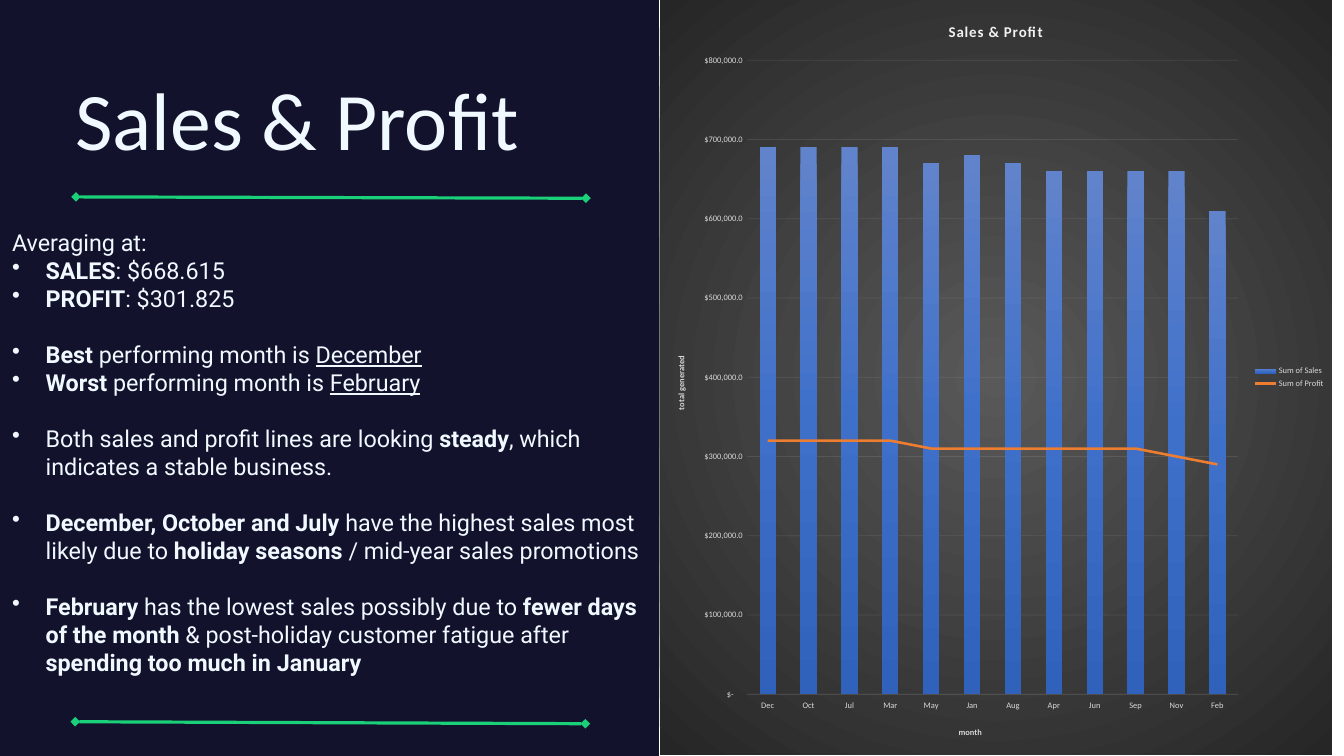
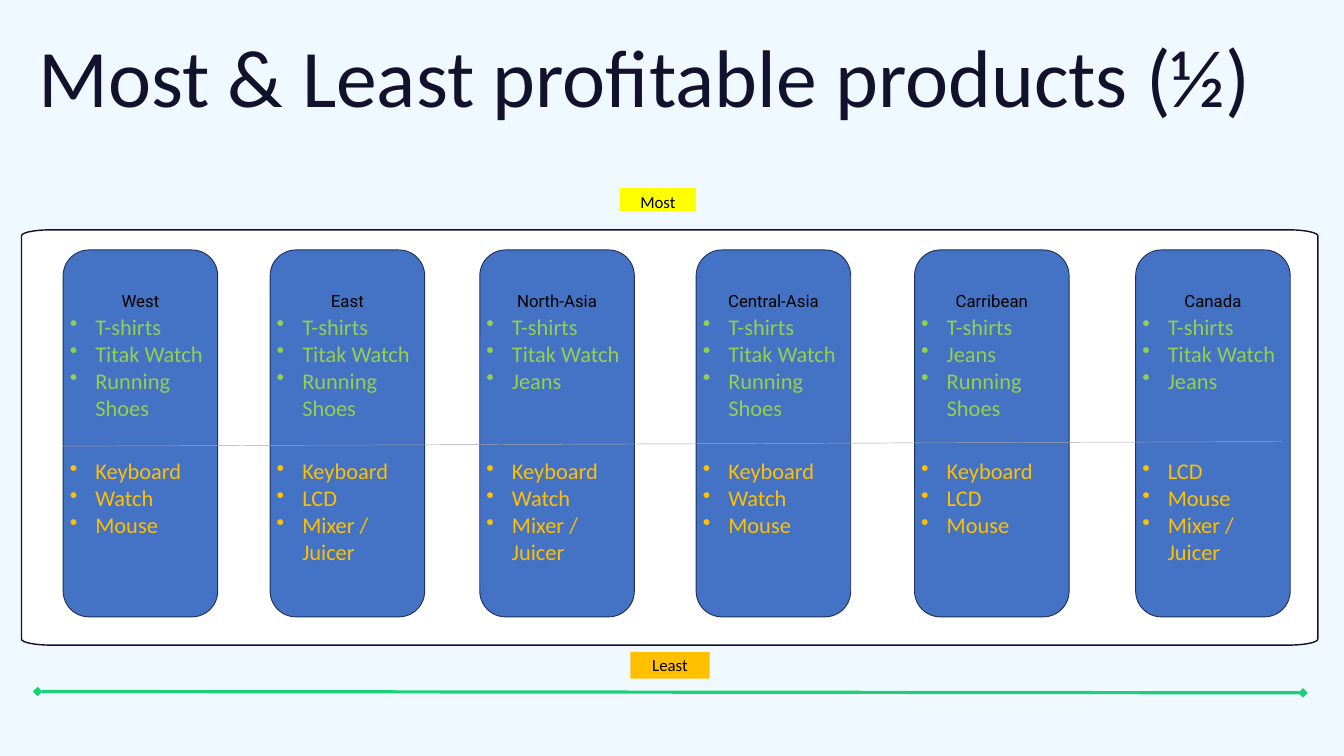
import math

from lxml import etree
from pptx import Presentation
from pptx.chart.data import CategoryChartData
from pptx.dml.color import RGBColor
from pptx.enum.chart import XL_CHART_TYPE, XL_LEGEND_POSITION, XL_MARKER_STYLE, XL_TICK_LABEL_POSITION, XL_TICK_MARK
from pptx.enum.shapes import MSO_CONNECTOR, MSO_SHAPE
from pptx.enum.text import MSO_ANCHOR, PP_ALIGN
from pptx.oxml import parse_xml
from pptx.oxml.ns import nsdecls, qn
from pptx.util import Pt

COLUMN = XL_CHART_TYPE.COLUMN_CLUSTERED
LEGEND_RIGHT = XL_LEGEND_POSITION.RIGHT
NO_MARKER = XL_MARKER_STYLE.NONE
LABELS_LOW = XL_TICK_LABEL_POSITION.LOW
NO_TICK = XL_TICK_MARK.NONE
STRAIGHT = MSO_CONNECTOR.STRAIGHT
RECT = MSO_SHAPE.RECTANGLE
ROUNDED = MSO_SHAPE.ROUNDED_RECTANGLE
TOP = MSO_ANCHOR.TOP
LEFT, CENTER = PP_ALIGN.LEFT, PP_ALIGN.CENTER

PX = 9144
COLORS = {
    "navy": "13122D", "ice": "F0F9FF", "green": "1AD079", "white": "FFFFFF", "black": "000000",
    "card": "4472C4", "card_edge": "1E3256", "divider": "A5A5A5",
    "most": "92D050", "least": "FFC000", "yellow": "FFFF00",
    "axis_text": "D9D9D9", "grid": "F2F2F2", "profit": "ED7D31",
    "chart_center": "595959", "chart_edge": "262626",
    "bar_top": "6183CB", "bar_middle": "3E70CA", "bar_bottom": "3062BB",
}
DOLLARS = '_-"$"* #,##0.0_-;\\-"$"* #,##0.0_-;_-"$"* "-"??_-;_-@_-'


def rgb(color):
    return RGBColor.from_string(COLORS[color])


def gradient(stops, direction):
    marks = "".join(
        f'<a:gs pos="{position * 1000}"><a:srgbClr val="{COLORS[color]}"/></a:gs>' for position, color in stops
    )
    return f'<a:gradFill {nsdecls("a")} rotWithShape="1"><a:gsLst>{marks}</a:gsLst>{direction}</a:gradFill>'


def style_font(font, size, color, name="Calibri", bold=False, underline=False):
    font.size, font.name, font.bold, font.underline = Pt(size), name, bold, underline
    font.color.rgb = rgb(color)


def style_line(line, color, width, opacity=100):
    line.color.rgb = rgb(color)
    line.width = Pt(width)
    if opacity < 100:
        tint = line.fill._xPr.find(".//" + qn("a:srgbClr"))
        etree.SubElement(tint, qn("a:alpha"), val=str(opacity * 1000))


class Deck:
    def __init__(self, width, height):
        self.presentation = Presentation()
        self.presentation.slide_width = width * PX
        self.presentation.slide_height = height * PX
        self.slide = None

    def new_slide(self, background):
        self.slide = self.presentation.slides.add_slide(self.presentation.slide_layouts[6])
        self.slide.background.fill.solid()
        self.slide.background.fill.fore_color.rgb = rgb(background)

    def set_text(self, frame, paragraphs, size, color, font="Calibri", align=LEFT, inset=(0, 0), spacing=None, indent=0):
        frame.word_wrap = True
        frame.vertical_anchor = TOP
        frame.margin_left = frame.margin_right = inset[0] * PX
        frame.margin_top = frame.margin_bottom = inset[1] * PX
        for number, (layout, runs) in enumerate(paragraphs):
            paragraph = frame.add_paragraph() if number else frame.paragraphs[0]
            paragraph.alignment = align
            if spacing:
                paragraph.line_spacing = spacing
            if "gap" in layout:
                paragraph.space_before = Pt(30)
            if "bullet" in layout:
                properties = paragraph._p.get_or_add_pPr()
                properties.set("marL", str(indent * PX))
                properties.set("indent", str(-indent * PX))
                etree.SubElement(properties, qn("a:buChar"), char="•")
            for words, emphasis in runs:
                run = paragraph.add_run()
                run.text = words
                style_font(run.font, size, color, font, "b" in emphasis, "u" in emphasis)

    def text(self, box, paragraphs, size, color, **style):
        holder = self.slide.shapes.add_textbox(*(length * PX for length in box))
        self.set_text(holder.text_frame, paragraphs, size, color, **style)

    def title(self, box, words, color, spacing=None):
        self.text(box, [("", [(words, "")])], 87.5, color, spacing=spacing)

    def paint(self, shape, fill, edge=None, width=1):
        shape.shadow.inherit = False
        shape.fill.solid()
        shape.fill.fore_color.rgb = rgb(fill)
        if edge:
            style_line(shape.line, edge, width)
        else:
            shape.line.fill.background()

    def shape(self, preset, box, fill, edge=None):
        shape = self.slide.shapes.add_shape(preset, *(length * PX for length in box))
        self.paint(shape, fill, edge)
        return shape

    def tag(self, box, words, fill):
        frame = self.shape(RECT, box, fill).text_frame
        self.set_text(frame, [("", [(words, "")])], 18, "black", align=CENTER, inset=(10, 5))

    def panel(self, box, corner, fill, edge):
        left, top, width, height = box
        across, down = corner
        centers = [
            (left + width - across, top + height - down), (left + across, top + height - down),
            (left + across, top + down), (left + width - across, top + down),
        ]
        outline = []
        for quarter, (x, y) in enumerate(centers):
            for step in range(13):
                angle = math.pi / 2 * (quarter + step / 12)
                outline.append((round((x + across * math.cos(angle)) * PX), round((y + down * math.sin(angle)) * PX)))
        builder = self.slide.shapes.build_freeform(*outline[0])
        builder.add_line_segments(outline[1:], close=True)
        self.paint(builder.convert_to_shape(), fill, edge, 1.5)

    def line(self, start, end, color, width, ends=None):
        connector = self.slide.shapes.add_connector(STRAIGHT, *(length * PX for length in start + end))
        style_line(connector.line, color, width)
        properties = connector._element.spPr
        if ends:
            for tip in ("a:headEnd", "a:tailEnd"):
                etree.SubElement(properties.find(qn("a:ln")), qn(tip), type=ends)
        etree.SubElement(properties, qn("a:effectLst"))

    def rule(self, start, end):
        self.line(start, end, "green", 3.42, "diamond")

    def heading(self, owner, words, size, color, tracking=0):
        run = owner.text_frame.paragraphs[0].add_run()
        run.text = words
        style_font(run.font, size, color, bold=True)
        run._r.get_or_add_rPr().set("spc", str(tracking))

    def combo_chart(self, box, title, axis_titles, months, totals):
        data = CategoryChartData(number_format=DOLLARS)
        data.categories = months
        for name, values in totals.items():
            data.add_series(name, values)
        chart = self.slide.shapes.add_chart(COLUMN, *(length * PX for length in box), data).chart
        style_font(chart.font, 9, "axis_text")
        self.heading(chart.chart_title, title, 16, "grid", 100)
        chart.has_legend = True
        chart.legend.position = LEGEND_RIGHT
        chart.legend.include_in_layout = False
        style_font(chart.legend.font, 9, "axis_text")
        for axis, words in zip((chart.category_axis, chart.value_axis), axis_titles):
            self.heading(axis.axis_title, words, 9, "axis_text")
            axis.major_tick_mark = axis.minor_tick_mark = NO_TICK
            style_font(axis.tick_labels.font, 9, "axis_text")
        chart.category_axis.tick_label_position = LABELS_LOW
        style_line(chart.category_axis.format.line, "grid", 0.75, 10)
        values = chart.value_axis
        values.minimum_scale, values.maximum_scale, values.major_unit = 0, 800000, 100000
        values.tick_labels.number_format = DOLLARS
        values.tick_labels.number_format_is_linked = False
        values.format.line.fill.background()
        style_line(values.major_gridlines.format.line, "grid", 0.75, 10)
        columns = chart.plots[0]
        columns.gap_width = 150
        columns.vary_by_categories = False
        columns.series[0].format.fill.solid()

        space = chart.element
        solid = space.xpath("//c:ser[1]/c:spPr/a:solidFill")[0]
        bar_stops = [(0, "bar_top"), (50, "bar_middle"), (100, "bar_bottom")]
        solid.getparent().replace(solid, parse_xml(gradient(bar_stops, '<a:lin ang="5400000" scaled="0"/>')))
        glow = '<a:path path="circle"><a:fillToRect l="50000" t="50000" r="50000" b="50000"/></a:path>'
        backdrop = gradient([(0, "chart_center"), (100, "chart_edge")], glow)
        space.xpath("c:chart")[0].addnext(
            parse_xml(f'<c:spPr {nsdecls("c", "a")}>{backdrop}<a:ln><a:noFill/></a:ln></c:spPr>')
        )
        self.move_to_line(space)
        trend = chart.plots[1].series[0]
        trend.smooth = False
        trend.marker.style = NO_MARKER
        style_line(trend.format.line, "profit", 2.75)

        plot_area = space.xpath("//c:plotArea")[0]
        for layout in plot_area.findall(qn("c:layout")):
            plot_area.remove(layout)
        frame = "".join(f'<c:{key} val="{share}"/>' for key, share in zip("xywh", (0.13, 0.08, 0.73, 0.84)))
        plot_area.insert(0, parse_xml(
            f'<c:layout {nsdecls("c")}><c:manualLayout><c:layoutTarget val="inner"/>'
            f'<c:xMode val="edge"/><c:yMode val="edge"/>{frame}</c:manualLayout></c:layout>'
        ))

    def move_to_line(self, space):
        bars = space.xpath("//c:barChart")[0]
        series = bars.findall(qn("c:ser"))[1]
        for flag in series.findall(qn("c:invertIfNegative")):
            series.remove(flag)
        axes = "".join(f'<c:axId val="{axis.get("val")}"/>' for axis in bars.findall(qn("c:axId")))
        lines = parse_xml(
            f'<c:lineChart {nsdecls("c")}><c:grouping val="standard"/><c:varyColors val="0"/>'
            f'<c:marker val="1"/>{axes}</c:lineChart>'
        )
        lines.insert(2, series)
        bars.addnext(lines)


FINDINGS = [
    ("", [("Averaging at:", "")]),
    ("bullet", [("SALES", "b"), (": $668.615", "")]),
    ("bullet", [("PROFIT", "b"), (": $301.825", "")]),
    ("bullet gap", [("Best ", "b"), ("performing month is ", ""), ("December", "u")]),
    ("bullet", [("Worst ", "b"), ("performing month is ", ""), ("February", "u")]),
    ("bullet gap", [("Both sales and profit lines are looking ", ""), ("steady", "b"),
                    (", which indicates a stable business.", "")]),
    ("bullet gap", [("December, October and July ", "b"), ("have the highest sales most likely due to ", ""),
                    ("holiday seasons ", "b"), ("/ mid-year sales promotions", "")]),
    ("bullet gap", [("February", "b"), (" has the lowest sales possibly due to ", ""),
                    ("fewer days of the month ", "b"), ("& post-holiday customer fatigue after ", ""),
                    ("spending too much in January", "b")]),
]
MONTHS = ["Dec", "Oct", "Jul", "Mar", "May", "Jan", "Aug", "Apr", "Jun", "Sep", "Nov", "Feb"]
TOTALS = {
    "Sum of Sales": [thousands * 1000 for thousands in
                     (690, 690, 690, 690, 670, 680, 670, 660, 660, 660, 660, 610)],
    "Sum of Profit": [thousands * 1000 for thousands in
                      (320, 320, 320, 320, 310, 310, 310, 310, 310, 310, 300, 290)],
}
SHIRTS, TITAK, SHOES, JEANS = "T-shirts", "Titak Watch", "Running Shoes", "Jeans"
KEYBOARD, WATCH, MOUSE, LCD, MIXER = "Keyboard", "Watch", "Mouse", "LCD", "Mixer / Juicer"
REGIONS = [
    (94, "West", (SHIRTS, TITAK, SHOES), (KEYBOARD, WATCH, MOUSE)),
    (402, "East", (SHIRTS, TITAK, SHOES), (KEYBOARD, LCD, MIXER)),
    (714, "North-Asia", (SHIRTS, TITAK, JEANS), (KEYBOARD, WATCH, MIXER)),
    (1036, "Central-Asia", (SHIRTS, TITAK, SHOES), (KEYBOARD, WATCH, MOUSE)),
    (1361, "Carribean", (SHIRTS, JEANS, SHOES), (KEYBOARD, LCD, MOUSE)),
    (1690, "Canada", (SHIRTS, TITAK, JEANS), (LCD, MOUSE, MIXER)),
]
CARD_WIDTH = 230


def sales_slide(deck):
    deck.new_slide("navy")
    deck.title((112, 130, 888, 118), "Sales & Profit", "ice", 0.8)
    deck.text((18, 340, 964, 757), FINDINGS, 25, "ice", font="Roboto", indent=50)
    deck.shape(RECT, (982, -17, 1017, 1160), "white", "white")
    deck.rule((113, 293), (872, 295))
    deck.rule((112, 1074), (871, 1077))
    deck.combo_chart((982, 0, 1000, 1123), "Sales & Profit", ("month", "total generated"), MONTHS, TOTALS)


def products_slide(deck):
    deck.new_slide("ice")
    deck.panel((32, 342, 1929, 618), (44, 9), "white", "navy")
    deck.title((57, 38, 1883, 295), "Most & Least profitable products (½)", "navy")
    for left, region, most, least in REGIONS:
        deck.shape(ROUNDED, (left, 372, CARD_WIDTH, 546), "card", "card_edge")
        deck.text((left, 427, CARD_WIDTH, 40), [("", [(region, "")])], 18, "black",
                  font="Roboto", align=CENTER, inset=(10, 5))
        for top, products, color in ((461, most, "most"), (676, least, "least")):
            items = [("bullet", [(product, "")]) for product in products]
            deck.text((left, top, CARD_WIDTH, 172), items, 24, color, inset=(10, 5), indent=38)
    deck.line((94, 664), (1908, 657), "divider", 0.5)
    deck.rule((56, 1029), (1939, 1031))
    deck.tag((938, 970, 118, 40), "Least", "least")
    deck.tag((922, 280, 114, 34), "Most", "yellow")


def main():
    deck = Deck(2000, 1125)
    sales_slide(deck)
    products_slide(deck)
    deck.presentation.save("out.pptx")


if __name__ == "__main__":
    main()
